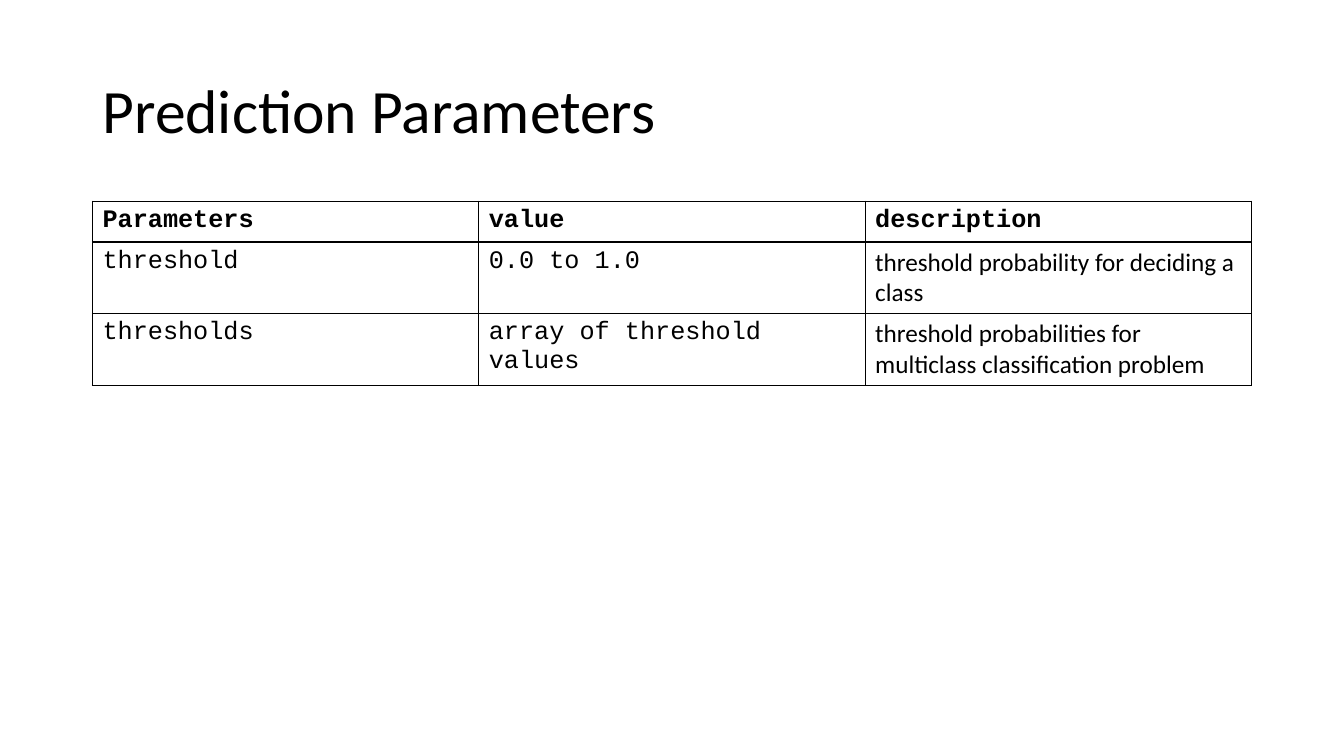
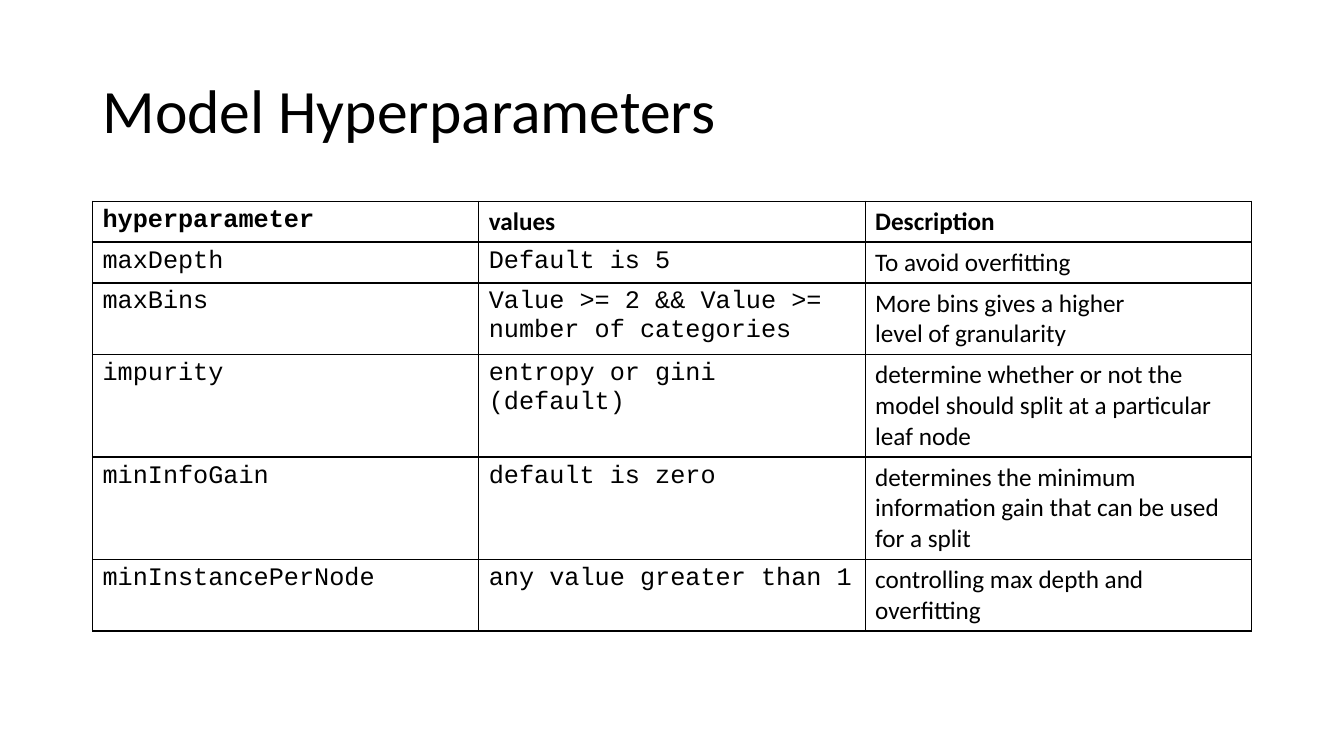
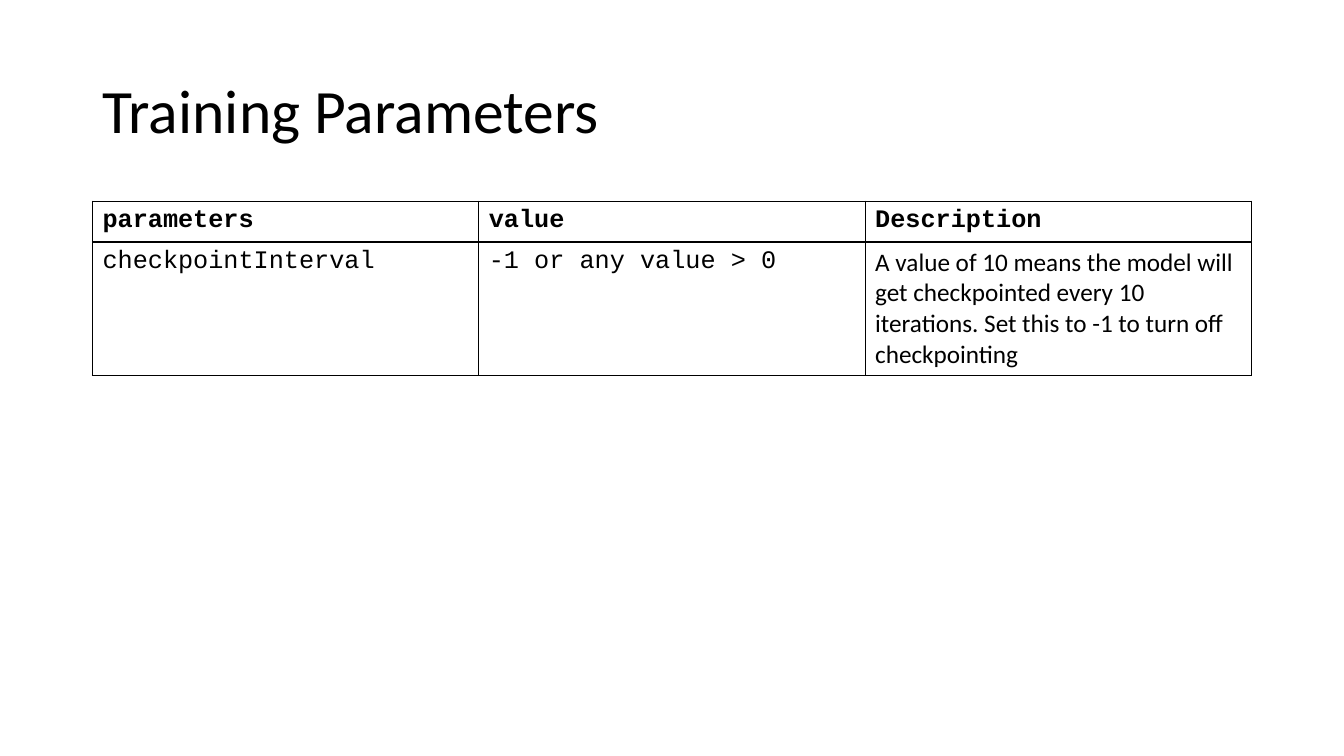
from dataclasses import dataclass

from lxml.etree import SubElement
from pptx import Presentation
from pptx.dml.color import RGBColor
from pptx.enum.text import MSO_ANCHOR, MSO_AUTO_SIZE, PP_ALIGN
from pptx.oxml.ns import qn
from pptx.presentation import Presentation as Deck
from pptx.slide import Slide
from pptx.table import _Cell as Cell
from pptx.util import Cm, Length, Pt

TITLE_ONLY = 5


@dataclass(frozen=True)
class Theme:
    """Colours, fonts, sizes and the frame shared by all slides."""

    ink: RGBColor = RGBColor(0, 0, 0)
    text_font: str = "Calibri"
    code_font: str = "Courier New"
    title_size: Length = Pt(44)
    table_size: Length = Pt(18)
    border_width: Length = Pt(1)
    left: Length = Cm(2.33)
    width: Length = Cm(29.21)
    title_top: Length = Cm(1.01)
    title_height: Length = Cm(3.68)
    table_top: Length = Cm(5.07)
    row_height: Length = Cm(1.03)


@dataclass(frozen=True)
class ParameterSlide:
    """A title and a table whose first row is the header."""

    title: str
    header: tuple[str, ...]
    rows: tuple[tuple[str, ...], ...]
    text_headers: tuple[int, ...] = ()


THEME = Theme()

SLIDES = (
    ParameterSlide(
        "Prediction Parameters",
        ("Parameters", "value", "description"),
        (
            ("threshold", "0.0 to 1.0", "threshold probability for deciding a class"),
            ("thresholds", "array of threshold values",
             "threshold probabilities for multiclass classification problem"),
        ),
    ),
    ParameterSlide(
        "Model Hyperparameters",
        ("hyperparameter", "values", "Description"),
        (
            ("maxDepth", "Default is 5", "To avoid overfitting"),
            ("maxBins", "Value >= 2 && Value >= number of categories",
             "More bins gives a higher\nlevel of granularity"),
            ("impurity", "entropy or gini (default)",
             "determine whether or not the model should split at a particular leaf node"),
            ("minInfoGain", "default is zero",
             "determines the minimum information gain that can be used for a split"),
            ("minInstancePerNode", "any value greater than 1",
             "controlling max depth and overfitting"),
        ),
        text_headers=(1, 2),
    ),
    ParameterSlide(
        "Training Parameters",
        ("parameters", "value", "Description"),
        (
            ("checkpointInterval", "-1 or any value > 0",
             "A value of 10 means the model will get checkpointed every 10 iterations. "
             "Set this to -1 to turn off checkpointing"),
        ),
    ),
)


def write_title(slide: Slide, text: str) -> None:
    """Place and format the title placeholder."""
    title = slide.shapes.title
    title.left, title.top = THEME.left, THEME.title_top
    title.width, title.height = THEME.width, THEME.title_height
    frame = title.text_frame
    frame.text = text
    frame.auto_size = MSO_AUTO_SIZE.NONE
    frame.vertical_anchor = MSO_ANCHOR.MIDDLE
    paragraph = frame.paragraphs[0]
    paragraph.alignment = PP_ALIGN.LEFT
    paragraph.line_spacing = 0.9
    paragraph.font.name = THEME.text_font
    paragraph.font.size = THEME.title_size
    paragraph.font.color.rgb = THEME.ink


def draw_borders(cell: Cell) -> None:
    """Give a cell a thin solid line on all four sides."""
    properties = cell._tc.get_or_add_tcPr()
    for side in ("lnL", "lnR", "lnT", "lnB"):
        line = SubElement(properties, qn(f"a:{side}"), w=str(THEME.border_width))
        fill = SubElement(line, qn("a:solidFill"))
        SubElement(fill, qn("a:srgbClr"), val=str(THEME.ink))


def write_cell(cell: Cell, text: str, font_name: str, bold: bool) -> None:
    """Fill one table cell with text, one paragraph a line."""
    draw_borders(cell)
    cell.fill.background()
    cell.text = text
    for paragraph in cell.text_frame.paragraphs:
        paragraph.font.name = font_name
        paragraph.font.size = THEME.table_size
        paragraph.font.bold = bold
        paragraph.font.color.rgb = THEME.ink


def add_parameter_table(slide: Slide, content: ParameterSlide) -> None:
    """Add the table; the last column of the body is prose, the rest code."""
    rows = (content.header, *content.rows)
    column_count = len(content.header)
    table = slide.shapes.add_table(
        len(rows), column_count, THEME.left, THEME.table_top,
        THEME.width, THEME.row_height * len(rows),
    ).table
    table.first_row = table.horz_banding = False
    for row_index, row in enumerate(rows):
        is_header = row_index == 0
        text_columns = content.text_headers if is_header else (column_count - 1,)
        for column_index, text in enumerate(row):
            font_name = THEME.text_font if column_index in text_columns else THEME.code_font
            write_cell(table.cell(row_index, column_index), text, font_name, is_header)


def add_parameter_slide(presentation: Deck, content: ParameterSlide) -> None:
    """Add one slide with its title and table."""
    slide = presentation.slides.add_slide(presentation.slide_layouts[TITLE_ONLY])
    write_title(slide, content.title)
    add_parameter_table(slide, content)


def main() -> None:
    """Build and save the presentation."""
    presentation = Presentation()
    presentation.slide_width, presentation.slide_height = Cm(33.87), Cm(19.05)
    for content in SLIDES:
        add_parameter_slide(presentation, content)
    presentation.save("out.pptx")


main()
